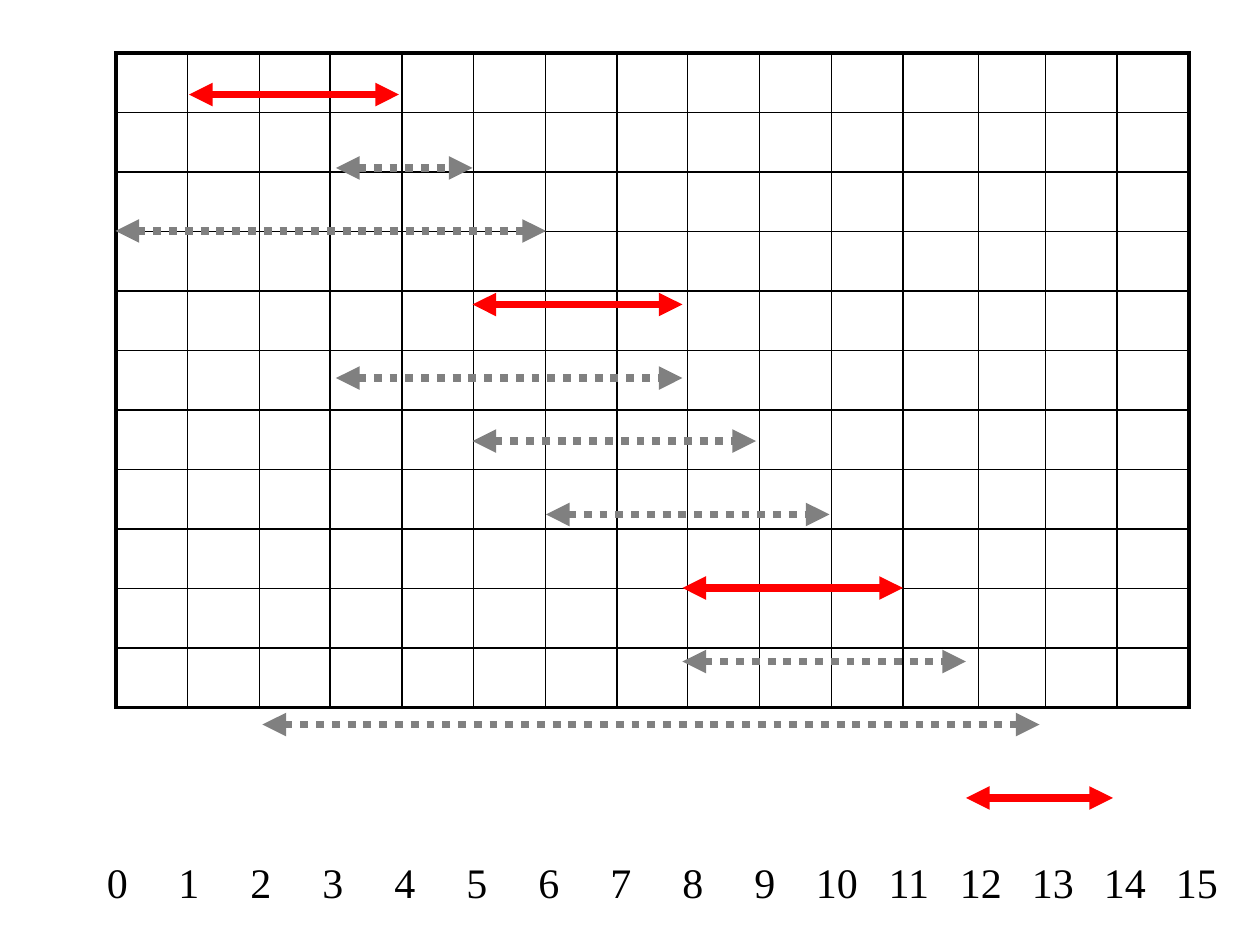
import math
import pptx
import pptx.util
import pptx.dml.color
import pptx.enum.dml
import pptx.enum.shapes
import pptx.oxml.ns
from lxml import etree

Inch, Pt = pptx.util.Inches, pptx.util.Pt
qn = pptx.oxml.ns.qn

COLORS = {"ink": "000000", "pick": "FF0000", "skip": "808080"}
FONT = "Times New Roman"

# start hour, end hour, chosen
TASKS = [
    (1, 4, True), (3, 5, False), (0, 6, False), (5, 8, True),
    (3, 8, False), (5, 9, False), (6, 10, False), (8, 11, True),
    (8, 12, False), (2, 13, False), (12, 14, True),
]
HOURS = 15
LEFT, TOP = 0.92, 0.42
WIDTHS = [0.57] * HOURS
WIDTHS[2] = WIDTHS[7] = 0.56
WIDTHS[11:13] = [0.6, 0.53]
HIGH = 5.2
SNAP = 12  # arrows sit on a raster of twelfths of an inch


def rgb(name):
    return pptx.dml.color.RGBColor.from_string(COLORS[name])


def edge(cell, index, tag, width):
    line = etree.Element(qn("a:" + tag), w=str(Pt(width)))
    fill = etree.SubElement(line, qn("a:solidFill"))
    etree.SubElement(fill, qn("a:srgbClr"), val=COLORS["ink"])
    cell._tc.get_or_add_tcPr().insert(index, line)


def draw_grid(slide):
    rows = len(TASKS)
    table = slide.shapes.add_table(
        rows, HOURS, Inch(LEFT), Inch(TOP), Inch(sum(WIDTHS)), Inch(HIGH)).table
    table.first_row = table.horz_banding = False
    for col, width in zip(table.columns, WIDTHS):
        col.width = Inch(width)
    for r in range(rows):
        for c in range(HOURS):
            cell = table.cell(r, c)
            cell.fill.background()
            cell.text_frame.paragraphs[0].font.size = Pt(18)
            outer = {"lnL": c == 0, "lnR": c == HOURS - 1,
                     "lnT": r == 0, "lnB": r == rows - 1}
            for i, (tag, thick) in enumerate(outer.items()):
                edge(cell, i, tag, 2.25 if thick else 1)


def hour_x(hour):
    return Inch(math.ceil(11 + 6.75 * hour) / SNAP)


def draw_tasks(slide):
    for i, (start, end, chosen) in enumerate(TASKS):
        y = Inch(round(9 + 6.7 * i) / SNAP)
        arrow = slide.shapes.add_connector(
            pptx.enum.shapes.MSO_CONNECTOR.STRAIGHT, hour_x(start), y, hour_x(end), y)
        arrow.line.width = Pt(4.5)
        arrow.line.color.rgb = rgb("pick" if chosen else "skip")
        if not chosen:
            arrow.line.dash_style = pptx.enum.dml.MSO_LINE.ROUND_DOT
        line = arrow.line._get_or_add_ln()
        for tag in ("headEnd", "tailEnd"):
            etree.SubElement(line, qn("a:" + tag), type="triangle")
        etree.SubElement(arrow._element.spPr, qn("a:effectLst"))


def draw_scale(slide):
    """One line of hour labels, each centred on its own tab stop."""
    box = slide.shapes.add_textbox(Inch(0.75), Inch(6.75), Inch(9.03), Inch(0.5))
    frame = box.text_frame
    frame.word_wrap = True
    frame.margin_right = 0
    para = frame.paragraphs[0]
    para.text = "\t".join(str(h) for h in range(HOURS + 1))
    tabs = etree.SubElement(para._p.get_or_add_pPr(), qn("a:tabLst"))
    for h in range(1, HOURS + 1):
        etree.SubElement(tabs, qn("a:tab"), pos=str(Inch(0.08 + h * 4 / 7)), algn="ctr")
    for run in para.runs:
        run.font.size = Pt(24)
        run.font.name = FONT
        run.font.color.rgb = rgb("ink")


def main():
    deck = pptx.Presentation()
    deck.slide_width, deck.slide_height = Inch(10), Inch(7.5)
    slide = deck.slides.add_slide(deck.slide_layouts[6])
    draw_grid(slide)
    draw_tasks(slide)
    draw_scale(slide)
    deck.save("out.pptx")


if __name__ == "__main__":
    main()
